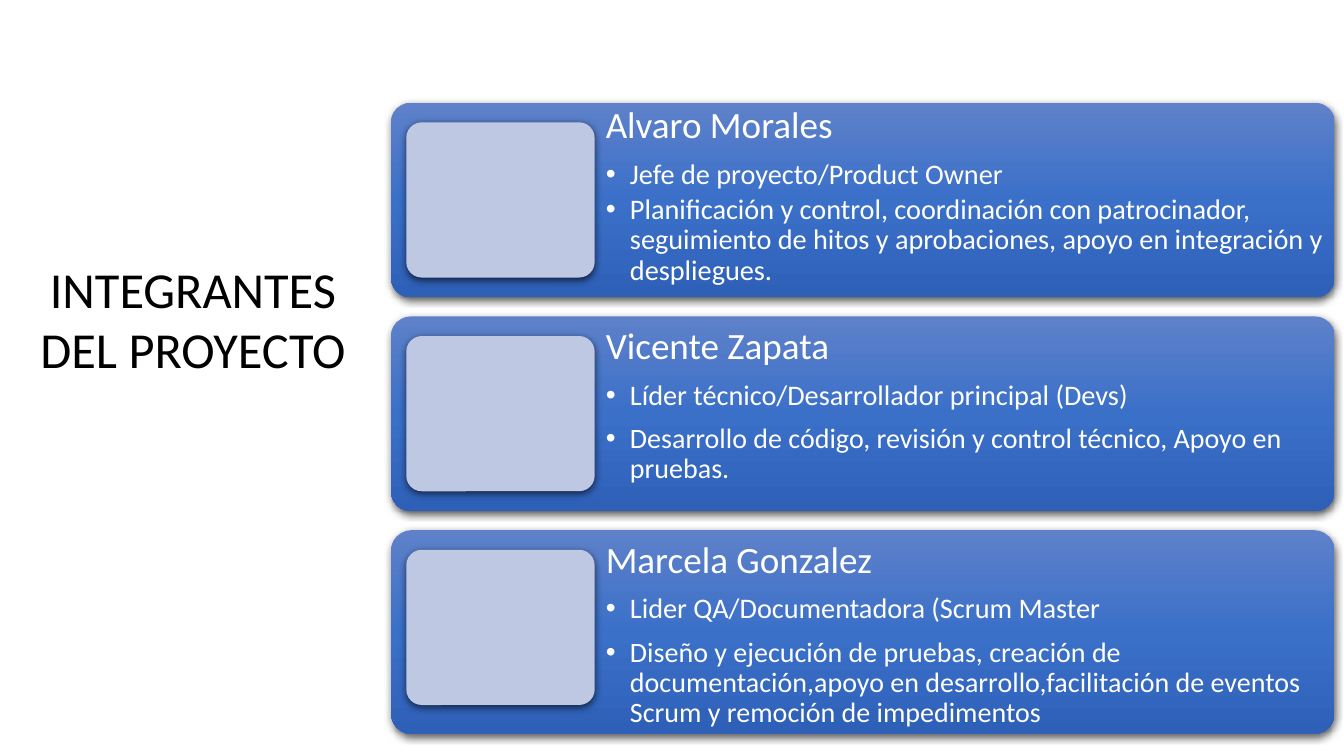
from copy import deepcopy

from lxml.etree import SubElement
from pptx import Presentation
from pptx.dml.color import RGBColor
from pptx.enum.shapes import MSO_SHAPE as SHAPE
from pptx.enum.text import MSO_ANCHOR as ANCHOR, MSO_AUTO_SIZE as AUTO, PP_ALIGN as ALIGN
from pptx.oxml.ns import qn
from pptx.util import Pt


def rgb(value):
    return RGBColor.from_string(value)


class Deck:
    """Holds the style and the current slide, and draws its elements."""

    font = "Calibri"
    ink, light, photo_fill = "000000", "FFFFFF", "BFC8E3"
    gradient = [(0, "5E81C9"), (0.5, "3B70C9"), (1, "2E60B8")]

    def __init__(self, width, height):
        self.prs = Presentation()
        self.prs.slide_width, self.prs.slide_height = Pt(width), Pt(height)
        self.s = self.prs.slides.add_slide(self.prs.slide_layouts[5])

    def style(self, p, size, color):
        for r in p.runs:
            r.font.name, r.font.size = self.font, Pt(size)
            r.font.color.rgb = rgb(color)

    def title(self, text, x, y, w, h):
        sp = self.s.shapes.title
        sp.left, sp.top, sp.width, sp.height = Pt(x), Pt(y), Pt(w), Pt(h)
        tf = sp.text_frame
        tf.text = text
        tf.word_wrap, tf.auto_size = True, AUTO.SHAPE_TO_FIT_TEXT
        tf.vertical_anchor = ANCHOR.TOP
        tf.paragraphs[0].alignment = ALIGN.CENTER
        self.style(tf.paragraphs[0], 36, self.ink)

    def rounded(self, x, y, w, h):
        sp = self.s.shapes.add_shape(SHAPE.ROUNDED_RECTANGLE, Pt(x), Pt(y), Pt(w), Pt(h))
        sp.adjustments[0] = 0.1
        sp.line.fill.background()
        sp.shadow.inherit = False
        effects = sp._element.spPr.find(qn("a:effectLst"))
        shadow = SubElement(effects, qn("a:outerShdw"), blurRad=str(Pt(5.7)),
                            dist=str(Pt(1.9)), dir="5400000", algn="ctr", rotWithShape="0")
        color = SubElement(shadow, qn("a:srgbClr"), val=self.ink)
        SubElement(color, qn("a:alpha"), val="63000")
        return sp

    def panel(self, x, y, w, h):
        sp = self.rounded(x, y, w, h)
        sp.fill.gradient()
        sp.fill.gradient_angle = 270
        stops = sp._element.spPr.find(".//" + qn("a:gsLst"))
        stops.append(deepcopy(stops[0]))
        for stop, (position, color) in zip(sp.fill.gradient_stops, self.gradient):
            stop.position = position
            stop.color.rgb = rgb(color)

    def photo(self, x, y, w, h):
        sp = self.rounded(x, y, w, h)
        sp.fill.solid()
        sp.fill.fore_color.rgb = rgb(self.photo_fill)

    def bullet(self, p):
        p.level = 1
        pPr = p._p.get_or_add_pPr()
        pPr.set("marL", str(Pt(17.3)))
        pPr.set("indent", str(Pt(-17.3)))
        SubElement(SubElement(pPr, qn("a:buClr")), qn("a:srgbClr"), val=self.light)
        SubElement(pPr, qn("a:buFont"), typeface="Arial")
        SubElement(pPr, qn("a:buChar"), char="•")

    def profile(self, lines, x, y, w, h, task_size, task_gap):
        tf = self.s.shapes.add_textbox(Pt(x), Pt(y), Pt(w), Pt(h)).text_frame
        tf.word_wrap = True
        tf.margin_left = tf.margin_top = tf.margin_right = tf.margin_bottom = Pt(7.95)
        formats = [(26.5, 0), (20.2, 9.3), (task_size, task_gap)]
        for i, (text, (size, gap)) in enumerate(zip(lines, formats)):
            p = tf.paragraphs[0] if i == 0 else tf.add_paragraph()
            p.text = text
            p.line_spacing, p.space_before = 0.9, Pt(gap)
            if i:
                self.bullet(p)
            self.style(p, size, self.light)


MEMBERS = [
    (["Alvaro Morales", "Jefe de proyecto/Product Owner",
      "Planificación y control, coordinación con patrocinador, seguimiento de hitos "
      "y aprobaciones, apoyo en integración y despliegues."], 139, -5, 20.2, 3),
    (["Vicente Zapata", "Líder técnico/Desarrollador principal (Devs)",
      "Desarrollo de código, revisión y control técnico, Apoyo en pruebas."],
     139, 0, 20, 9.3),
    (["Marcela Gonzalez", "Lider QA/Documentadora (Scrum Master",
      "Diseño y ejecución de pruebas, creación de documentación,apoyo en "
      "desarrollo,facilitación de eventos Scrum y remoción de impedimentos"],
     145.5, 0, 20, 9.3),
]


def main():
    deck = Deck(960, 540)
    deck.title("INTEGRANTES DEL PROYECTO", 20.2, 180.7, 235.4, 94.3)
    for i, (lines, height, shift, task_size, task_gap) in enumerate(MEMBERS):
        y = 73.4 + 152.65 * i
        deck.panel(279.4, y, 673.9, height)
        deck.photo(290.2, y + 14, 134.6, 110.9)
        deck.profile(lines, 424.8, y + shift, 528.5, 130.3, task_size, task_gap)
    deck.prs.save("out.pptx")


if __name__ == "__main__":
    main()
